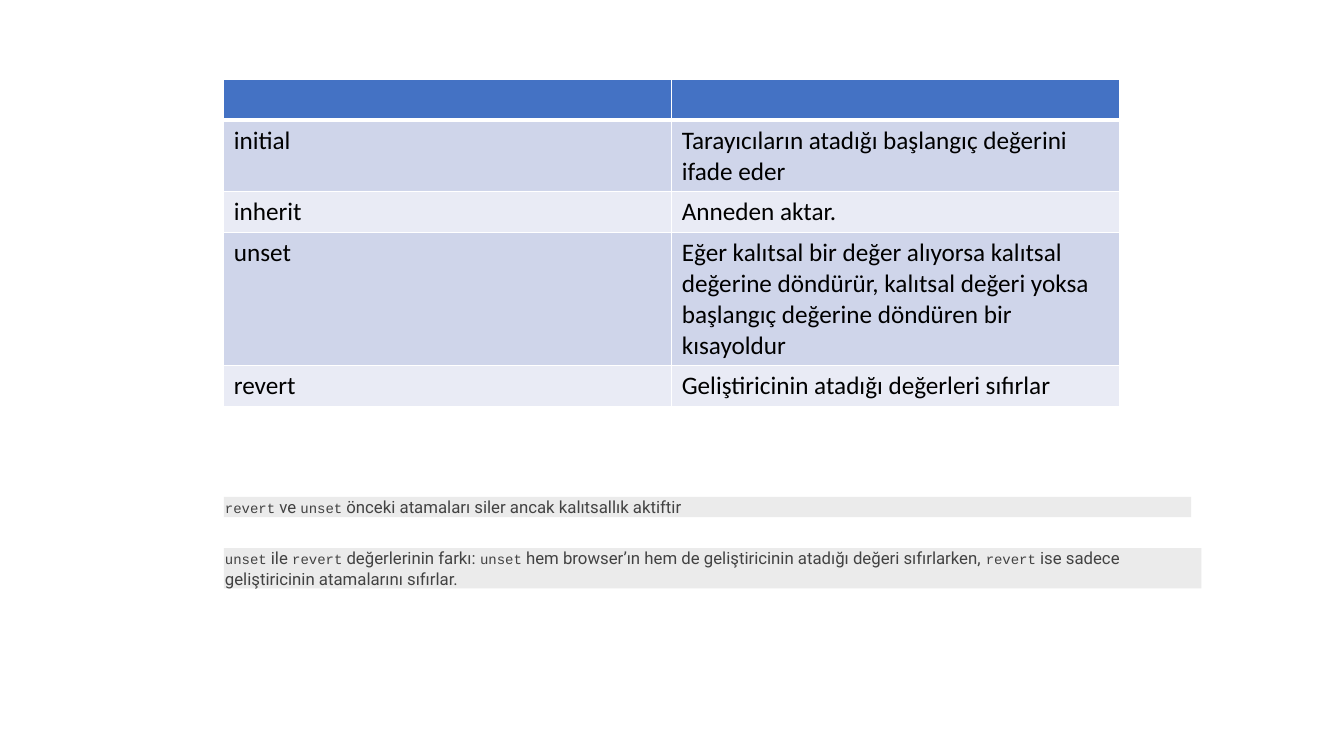
from lxml.etree import SubElement
from pptx import Presentation
from pptx.dml.color import RGBColor
from pptx.enum.shapes import MSO_SHAPE as Shape
from pptx.enum.text import MSO_ANCHOR as Anchor, MSO_AUTO_SIZE as AutoSize, PP_ALIGN as Align
from pptx.oxml.ns import qn
from pptx.util import Cm, Pt

WHITE = RGBColor(0xFF, 0xFF, 0xFF)
BLACK = RGBColor(0x00, 0x00, 0x00)
HEADER_BLUE = RGBColor(0x44, 0x72, 0xC4)
BAND_DARK = RGBColor(0xCF, 0xD5, 0xEA)
BAND_LIGHT = RGBColor(0xE9, 0xEB, 0xF5)
NOTE_GRAY = RGBColor(0xEB, 0xEB, 0xEB)
NOTE_TEXT = RGBColor(0x42, 0x42, 0x42)

ROWS = [
    ("", ""),
    ("initial", "Tarayıcıların atadığı başlangıç değerini ifade eder"),
    ("inherit", "Anneden aktar."),
    ("unset", "Eğer kalıtsal bir değer alıyorsa kalıtsal değerine döndürür, "
              "kalıtsal değeri yoksa başlangıç değerine döndüren bir kısayoldur"),
    ("revert", "Geliştiricinin atadığı değerleri sıfırlar"),
]
NOTES = [
    (12.52, 24.38, 0.51, [
        "revert", " ve ", "unset", " önceki atamaları siler ancak kalıtsallık aktiftir",
    ]),
    (13.81, 24.64, 1.02, [
        "unset", " ile ", "revert", " değerlerinin farkı: ",
        "unset", " hem browser’ın hem de geliştiricinin atadığı değeri sıfırlarken, ",
        "revert", " ise sadece geliştiricinin atamalarını sıfırlar.",
    ]),
]

CELL_FONT = {"name": "Calibri", "size": Pt(18)}
CODE_FONT = {"name": "Courier New", "size": Pt(10)}
PROSE_FONT = {"name": "Roboto", "size": Pt(12)}
NOTE_FRAME = {
    "word_wrap": True, "auto_size": AutoSize.SHAPE_TO_FIT_TEXT,
    "vertical_anchor": Anchor.MIDDLE, "margin_left": Cm(0.03),
    "margin_right": Cm(0.03), "margin_top": 0, "margin_bottom": 0,
}
LEFT = Cm(5.64)
TABLE_TOP = Cm(2)
COLUMN_WIDTH = Cm(11.29)
ROW_HEIGHT = Cm(1.03)


def apply(target, values):
    for name, value in values.items():
        setattr(target, name, value)


def style_font(font, values, color):
    apply(font, values)
    font.color.rgb = color


def add_borders(cell, bottom_width):
    properties = cell._tc.get_or_add_tcPr()
    for side in ("L", "R", "T", "B"):
        width = Pt(bottom_width if side == "B" else 1)
        line = SubElement(properties, qn(f"a:ln{side}"), w=str(width))
        fill = SubElement(line, qn("a:solidFill"))
        SubElement(fill, qn("a:srgbClr"), val=str(WHITE))


def add_value_table(page):
    columns = len(ROWS[0])
    frame = page.shapes.add_table(len(ROWS), columns, LEFT, TABLE_TOP,
                                  COLUMN_WIDTH * columns, ROW_HEIGHT * len(ROWS))
    table = frame.table
    table.horz_banding = False
    for row_index, texts in enumerate(ROWS):
        table.rows[row_index].height = ROW_HEIGHT
        header = row_index == 0
        band = BAND_DARK if row_index % 2 else BAND_LIGHT
        for column_index, text in enumerate(texts):
            cell = table.cell(row_index, column_index)
            add_borders(cell, 3 if header else 1)
            cell.fill.solid()
            cell.fill.fore_color.rgb = HEADER_BLUE if header else band
            cell.text = text
            style_font(cell.text_frame.paragraphs[0].font, CELL_FONT, BLACK)


def add_note(page, top, width, height, pieces):
    box = page.shapes.add_shape(Shape.RECTANGLE, LEFT, Cm(top), Cm(width), Cm(height))
    box.shadow.inherit = False
    box.fill.solid()
    box.fill.fore_color.rgb = NOTE_GRAY
    box.line.fill.background()
    apply(box.text_frame, NOTE_FRAME)
    para = box.text_frame.paragraphs[0]
    para.alignment = Align.LEFT
    for index, text in enumerate(pieces):
        span = para.add_run()
        span.text = text
        style_font(span.font, PROSE_FONT if index % 2 else CODE_FONT, NOTE_TEXT)


def main():
    deck = Presentation()
    deck.slide_width, deck.slide_height = Cm(33.87), Cm(19.05)
    page = deck.slides.add_slide(deck.slide_layouts[6])
    add_value_table(page)
    for note in NOTES:
        add_note(page, *note)
    deck.save("out.pptx")


if __name__ == "__main__":
    main()
